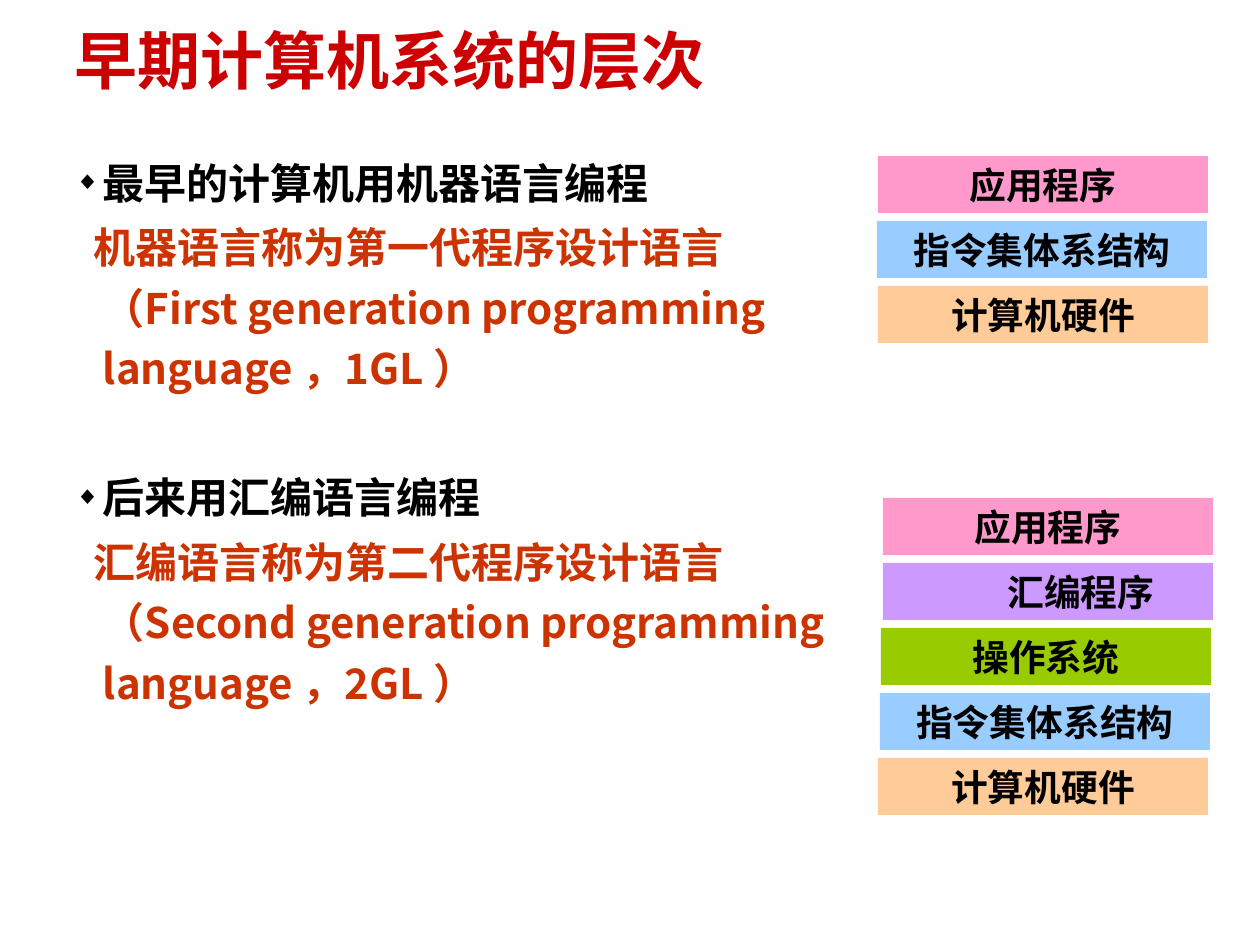
import pptx
import pptx.util
import pptx.dml.color
import pptx.enum.shapes
import pptx.enum.text
import pptx.oxml
import pptx.oxml.ns
from dataclasses import dataclass

EMU = 914400 // 126  # one px
ALIGN = pptx.enum.text.PP_ALIGN
ANCHOR = pptx.enum.text.MSO_ANCHOR


@dataclass(frozen=True)
class Theme:
    title: str = "CC0000"
    ink: str = "000000"
    accent: str = "CC3300"
    head: int = 36
    body: int = 24
    label: int = 21
    sans: str = "Arial"
    cjk: str = "Noto Sans CJK SC"
    serif: str = "Times New Roman"


THEME = Theme()
TITLE = "早期计算机系统的层次"
# heading, detail, space before the heading in points
POINTS = [
    ("最早的计算机用机器语言编程",
     "机器语言称为第一代程序设计语言（First generation programming language ，1GL ）", 0),
    ("后来用汇编语言编程",
     "汇编语言称为第二代程序设计语言（Second generation programming language ，2GL ）", 39),
]
FILLS = {
    "应用程序": "FF99CC",
    "汇编程序": "CC99FF",
    "操作系统": "99CC00",
    "指令集体系结构": "99CCFF",
    "计算机硬件": "FFCC99",
}
# top of the stack, then each layer with its left edge
STACKS = [
    (156, [("应用程序", 878), ("指令集体系结构", 877), ("计算机硬件", 878)]),
    (498, [("应用程序", 883), ("汇编程序", 883), ("操作系统", 881),
           ("指令集体系结构", 880), ("计算机硬件", 878)]),
]
WIDE, HIGH, STEP = 330, 57, 65
SHIFT = {"汇编程序": 66}  # extra left inset


def px(n):
    return pptx.util.Emu(n * EMU)


def rgb(code):
    return pptx.dml.color.RGBColor.from_string(code)


def place(shape, left, top, wide, high):
    shape.left, shape.top = px(left), px(top)
    shape.width, shape.height = px(wide), px(high)


def frame(shape, side, edge, anchor):
    """Set insets and anchor; return the text frame."""
    box = shape.text_frame
    box.word_wrap = True
    box.auto_size = pptx.enum.text.MSO_AUTO_SIZE.NONE
    box.margin_left = box.margin_right = px(side)
    box.margin_top = box.margin_bottom = px(edge)
    box.vertical_anchor = anchor
    return box


def indent(para, left, first, mark=None):
    """Set a hanging indent in px, with a bullet or none."""
    props = para._p.get_or_add_pPr()
    props.set("marL", str(px(left)))
    props.set("indent", str(px(first)))
    space = pptx.oxml.ns.nsdecls("a")
    parts = [f"<a:buNone {space}/>"]
    if mark:
        parts = [f'<a:buClr {space}><a:srgbClr val="{THEME.ink}"/></a:buClr>',
                 f'<a:buSzPct {space} val="60000"/>',
                 f'<a:buChar {space} char="{mark}"/>']
    for part in parts:
        props.append(pptx.oxml.parse_xml(part))


def write(para, text, *, size, font, color, align=ALIGN.LEFT, line=1.0, before=0):
    para.alignment = align
    para.line_spacing = line
    para.space_before = pptx.util.Pt(before)
    para.space_after = pptx.util.Pt(0)
    run = para.add_run()
    run.text = text
    run.font.size = pptx.util.Pt(size)
    run.font.name = font
    run.font.bold = True
    run.font.color.rgb = rgb(color)
    east = pptx.oxml.parse_xml(
        f'<a:ea {pptx.oxml.ns.nsdecls("a")} typeface="{THEME.cjk}"/>')
    run._r.rPr.find(pptx.oxml.ns.qn("a:latin")).addnext(east)


def fill_body(shape):
    box = frame(shape, 9, 4, ANCHOR.TOP)
    para = box.paragraphs[0]
    for index, (head, detail, gap) in enumerate(POINTS):
        if index:
            para = box.add_paragraph()
        indent(para, 28, -28, "◆")
        write(para, head, size=THEME.body, font=THEME.cjk,
              color=THEME.ink, line=1.2, before=gap)
        para = box.add_paragraph()
        indent(para, 28, -9)
        write(para, detail, size=THEME.body, font=THEME.cjk,
              color=THEME.accent, line=1.2, before=2.4)


def add_layer(slide, name, left, top):
    shape = slide.shapes.add_shape(
        pptx.enum.shapes.MSO_SHAPE.RECTANGLE,
        px(left), px(top), px(WIDE), px(HIGH))
    shape.shadow.inherit = False
    shape.fill.solid()
    shape.fill.fore_color.rgb = rgb(FILLS[name])
    shape.line.fill.background()
    box = frame(shape, 13, 0, ANCHOR.MIDDLE)
    box.margin_left = px(13 + SHIFT.get(name, 0))
    write(box.paragraphs[0], name, size=THEME.label, font=THEME.serif,
          color=THEME.ink, align=ALIGN.CENTER)


def main():
    deck = pptx.Presentation()
    deck.slide_width, deck.slide_height = px(1260), px(945)
    slide = deck.slides.add_slide(deck.slide_layouts[1])
    title, body = slide.placeholders
    place(title, 66, 28, 1134, 77)
    write(frame(title, 9, 4, ANCHOR.TOP).paragraphs[0], TITLE,
          size=THEME.head, font=THEME.sans, color=THEME.title, line=0.87)
    place(body, 66, 143, 776, 770)
    fill_body(body)
    for top, layers in STACKS:
        for index, (name, left) in enumerate(layers):
            add_layer(slide, name, left, top + index * STEP)
    deck.save("out.pptx")


if __name__ == "__main__":
    main()
